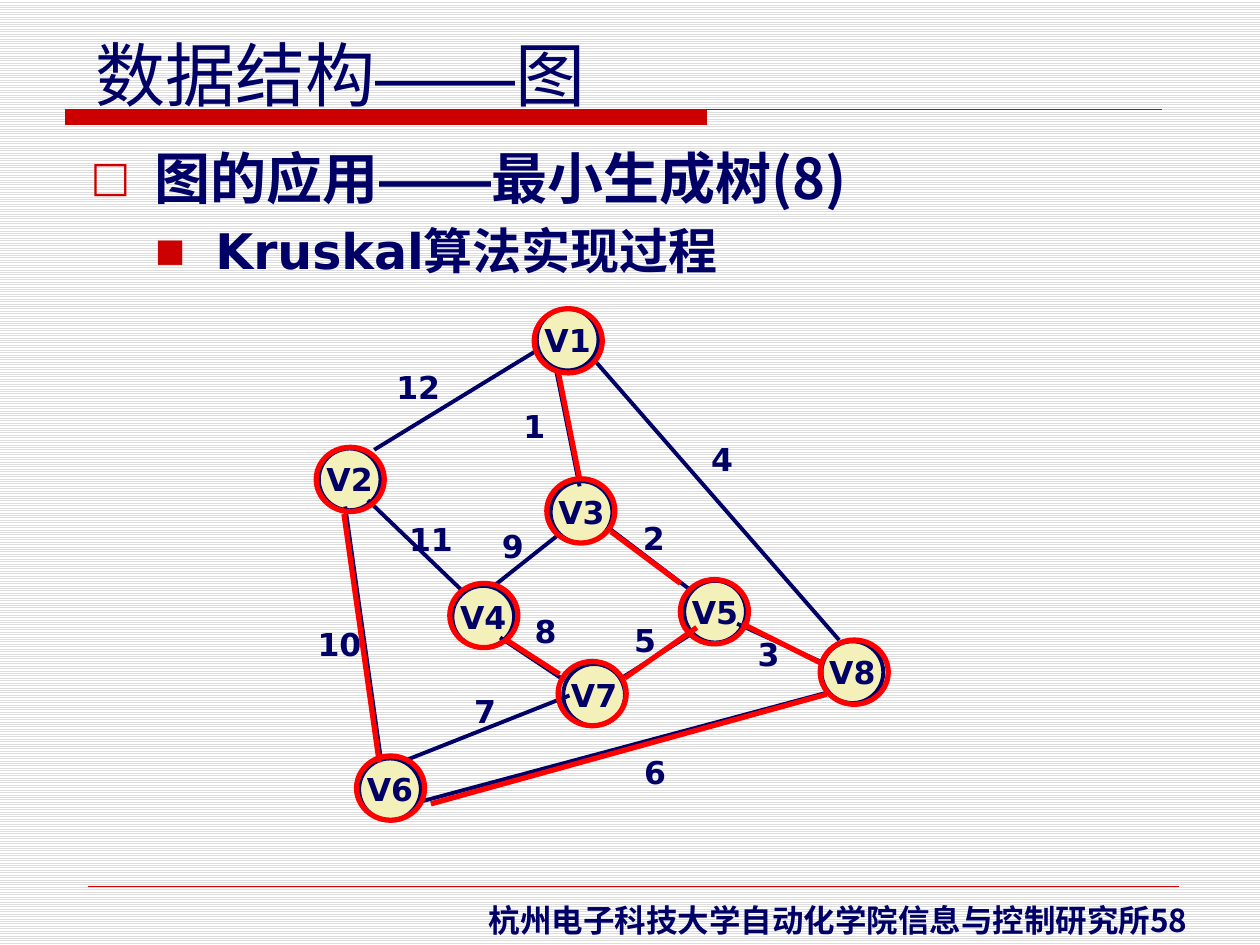
from dataclasses import dataclass

from lxml.etree import SubElement
from pptx import Presentation
from pptx.dml.color import RGBColor
from pptx.enum.dml import MSO_PATTERN
from pptx.enum.shapes import MSO_CONNECTOR, MSO_SHAPE
from pptx.enum.text import MSO_ANCHOR, MSO_AUTO_SIZE, PP_ALIGN
from pptx.oxml.ns import qn
from pptx.util import Inches, Pt


@dataclass(frozen=True)
class Theme:
    navy: str = "000066"
    crimson: str = "CC0000"
    red: str = "FF0000"
    cream: str = "F4F0BA"
    stripe: str = "DDDDDD"
    paper: str = "FFFFFF"
    main_font: str = "DejaVu Sans"
    dash_font: str = "Arial"
    chinese_font: str = "Noto Sans CJK SC"
    title_size: int = 40
    heading_size: int = 32
    subheading_size: int = 28
    small_size: int = 18
    edge_width: float = 2.25
    tree_width: float = 3


THEME = Theme()
VERTEX_SIZE = (0.49, 0.49)
RING_SIZE = (0.54, 0.51)
VERTICES = {
    "V1": ((4.26, 2.45), (4.24, 2.45)),
    "V2": ((2.53, 3.56), (2.51, 3.55)),
    "V3": ((4.37, 3.82), (4.34, 3.8)),
    "V4": ((3.59, 4.65), (3.57, 4.63)),
    "V5": ((5.43, 4.61), (5.4, 4.6)),
    "V6": ((2.85, 6.02), (2.83, 6)),
    "V7": ((4.47, 5.27), (4.43, 5.25)),
    "V8": ((6.52, 5.09), (6.51, 5.08)),
}
EDGES = [
    ((4.28, 2.77), (2.97, 3.57)),
    ((2.74, 4.02), (3.02, 6)),
    ((3.31, 6.37), (6.59, 5.49)),
    ((4.71, 2.85), (6.66, 5.08)),
    ((4.45, 4.23), (3.92, 4.65)),
    ((4.83, 4.19), (5.49, 4.69)),
    ((3.97, 5.06), (4.48, 5.4)),
    ((5.49, 5.03), (4.92, 5.39)),
    ((4.41, 2.92), (4.6, 3.86)),
    ((2.92, 3.97), (3.66, 4.68)),
    ((4.52, 5.52), (3.23, 6.03)),
    ((5.85, 4.95), (6.51, 5.25)),
]
WEIGHTS = {
    "1": (4.05, 3.18, 0.38),
    "2": (5, 4.07, 0.38),
    "3": (5.91, 4.99, 0.38),
    "4": (5.54, 3.44, 0.38),
    "5": (4.93, 4.88, 0.38),
    "6": (5.01, 5.93, 0.38),
    "7": (3.66, 5.44, 0.38),
    "8": (4.14, 4.81, 0.38),
    "9": (3.88, 4.13, 0.38),
    "10": (2.36, 4.91, 0.67),
    "11": (3.11, 4.08, 0.62),
    "12": (3.04, 2.87, 0.56),
}
TREE_EDGES = [
    ((4.43, 2.95), (4.6, 3.8)),
    ((4.85, 4.22), (5.4, 4.63)),
    ((5.89, 4.95), (6.51, 5.26)),
    ((4.96, 5.38), (5.53, 4.98)),
    ((3.42, 6.38), (6.56, 5.51)),
    ((4.02, 5.08), (4.44, 5.35)),
    ((2.73, 4.08), (3.01, 6.05)),
]


def set_attributes(target, values):
    for name, value in values.items():
        setattr(target, name, value)


class SlideBuilder:
    def __init__(self, slide, theme):
        self.slide = slide
        self.theme = theme

    def background(self):
        fill = self.slide.background.fill
        fill.patterned()
        fill.pattern = MSO_PATTERN.LIGHT_HORIZONTAL
        fill.fore_color.rgb = RGBColor.from_string(self.theme.stripe)
        fill.back_color.rgb = RGBColor.from_string(self.theme.paper)

    def runs(self, paragraph, pieces, size, bold=True):
        for text, font_name in pieces:
            run = paragraph.add_run()
            run.text = text
            set_attributes(run.font, {"name": font_name, "size": Pt(size), "bold": bold})
            run.font.color.rgb = RGBColor.from_string(self.theme.navy)
            SubElement(run.font._element, qn("a:ea"), typeface=font_name)

    def place(self, shape, box):
        names = ("left", "top", "width", "height")
        set_attributes(shape, dict(zip(names, map(Inches, box))))

    def title(self, pieces, box):
        title = self.slide.shapes.title
        self.place(title, box)
        set_attributes(title.text_frame, {
            "word_wrap": False,
            "auto_size": MSO_AUTO_SIZE.SHAPE_TO_FIT_TEXT,
            "vertical_anchor": MSO_ANCHOR.TOP,
        })
        paragraph = title.text_frame.paragraphs[0]
        paragraph.alignment = PP_ALIGN.LEFT
        self.runs(paragraph, pieces, self.theme.title_size, bold=False)

    def body(self, items, box):
        body = self.slide.placeholders[1]
        self.place(body, box)
        frame = body.text_frame
        frame.auto_size = MSO_AUTO_SIZE.NONE
        for level, (pieces, size, bullet, scale, margin, indent) in enumerate(items):
            paragraph = frame.add_paragraph() if level else frame.paragraphs[0]
            paragraph.level = level
            if not level:
                paragraph.space_before = Pt(0)
            properties = paragraph._p.get_or_add_pPr()
            properties.set("marL", str(Inches(margin)))
            properties.set("indent", str(Inches(indent)))
            color = SubElement(properties, qn("a:buClr"))
            SubElement(color, qn("a:srgbClr"), val=self.theme.crimson)
            SubElement(properties, qn("a:buSzPct"), val=str(scale * 1000))
            SubElement(properties, qn("a:buFont"), typeface=self.theme.main_font)
            SubElement(properties, qn("a:buChar"), char=bullet)
            self.runs(paragraph, pieces, size)

    def text(self, text, box, font_name, alignment):
        shape = self.slide.shapes.add_textbox(*map(Inches, box))
        set_attributes(shape.text_frame, {
            "word_wrap": False,
            "auto_size": MSO_AUTO_SIZE.SHAPE_TO_FIT_TEXT,
        })
        paragraph = shape.text_frame.paragraphs[0]
        paragraph.alignment = alignment
        self.runs(paragraph, [(text, font_name)], self.theme.small_size)

    def outline(self, shape, color, width):
        shape.line.color.rgb = RGBColor.from_string(color)
        shape.line.width = Pt(width)

    def paint(self, shape, fill, color, width):
        shape.shadow.inherit = False
        if fill:
            shape.fill.solid()
            shape.fill.fore_color.rgb = RGBColor.from_string(fill)
        else:
            shape.fill.background()
        self.outline(shape, color, width)

    def oval(self, position, size, fill, color, width, label=None):
        shape = self.slide.shapes.add_shape(MSO_SHAPE.OVAL, *map(Inches, position + size))
        self.paint(shape, fill, color, width)
        if label:
            frame = shape.text_frame
            set_attributes(frame, {"word_wrap": False, "vertical_anchor": MSO_ANCHOR.MIDDLE})
            frame.paragraphs[0].alignment = PP_ALIGN.CENTER
            self.runs(frame.paragraphs[0], [(label, self.theme.main_font)], self.theme.small_size)

    def line(self, start, end, color, width):
        connector = self.slide.shapes.add_connector(
            MSO_CONNECTOR.STRAIGHT, *map(Inches, start + end))
        self.outline(connector, color, width)
        SubElement(connector._element.spPr, qn("a:effectLst"))

    def title_rule(self, left, top, bar_right, bottom, rule_right):
        builder = self.slide.shapes.build_freeform(Inches(left), Inches(top))
        corners = [(bar_right, top), (bar_right, bottom), (left, bottom)]
        builder.add_line_segments([tuple(map(Inches, corner)) for corner in corners], close=True)
        builder.move_to(Inches(left), Inches(top))
        builder.add_line_segments([(Inches(rule_right), Inches(top))], close=False)
        self.paint(builder.convert_to_shape(), self.theme.crimson, self.theme.crimson, 0.75)


def main():
    presentation = Presentation()
    set_attributes(presentation, {"slide_width": Inches(10), "slide_height": Inches(7.5)})
    builder = SlideBuilder(presentation.slides.add_slide(presentation.slide_layouts[1]), THEME)
    main_font, dash_font, chinese_font = THEME.main_font, THEME.dash_font, THEME.chinese_font

    builder.background()
    builder.title_rule(0.52, 0.87, 5.61, 0.99, 9.22)
    builder.line((0.7, 7.03), (9.36, 7.03), THEME.crimson, 0.25)
    builder.title([("数据结构", main_font), ("——", dash_font), ("图", main_font)],
                  (0.66, 0.2, 4.09, 0.77))
    builder.text("杭州电子科技大学自动化学院信息与控制研究所58", (3.78, 7.1, 6.11, 0.4),
                 chinese_font, PP_ALIGN.LEFT)
    heading = [("图的应用", main_font), ("——", dash_font),
               ("最小生成树", main_font), ("(8)", chinese_font)]
    subheading = [("Kruskal算法实现过程", main_font)]
    builder.body([
        (heading, THEME.heading_size, "□", 75, 0.51, -0.51),
        (subheading, THEME.subheading_size, "■", 65, 0.99, -0.48),
    ], (0.62, 1.09, 8.75, 5.84))

    for name, (position, _) in VERTICES.items():
        builder.oval(position, VERTEX_SIZE, THEME.cream, THEME.navy, THEME.edge_width, name)
    for start, end in EDGES:
        builder.line(start, end, THEME.navy, THEME.edge_width)
    for weight, (left, top, width) in WEIGHTS.items():
        builder.text(weight, (left, top, width, 0.4), main_font, PP_ALIGN.CENTER)
    for _, position in VERTICES.values():
        builder.oval(position, RING_SIZE, None, THEME.red, THEME.tree_width)
    for start, end in TREE_EDGES:
        builder.line(start, end, THEME.red, THEME.tree_width)
    presentation.save("out.pptx")


if __name__ == "__main__":
    main()
